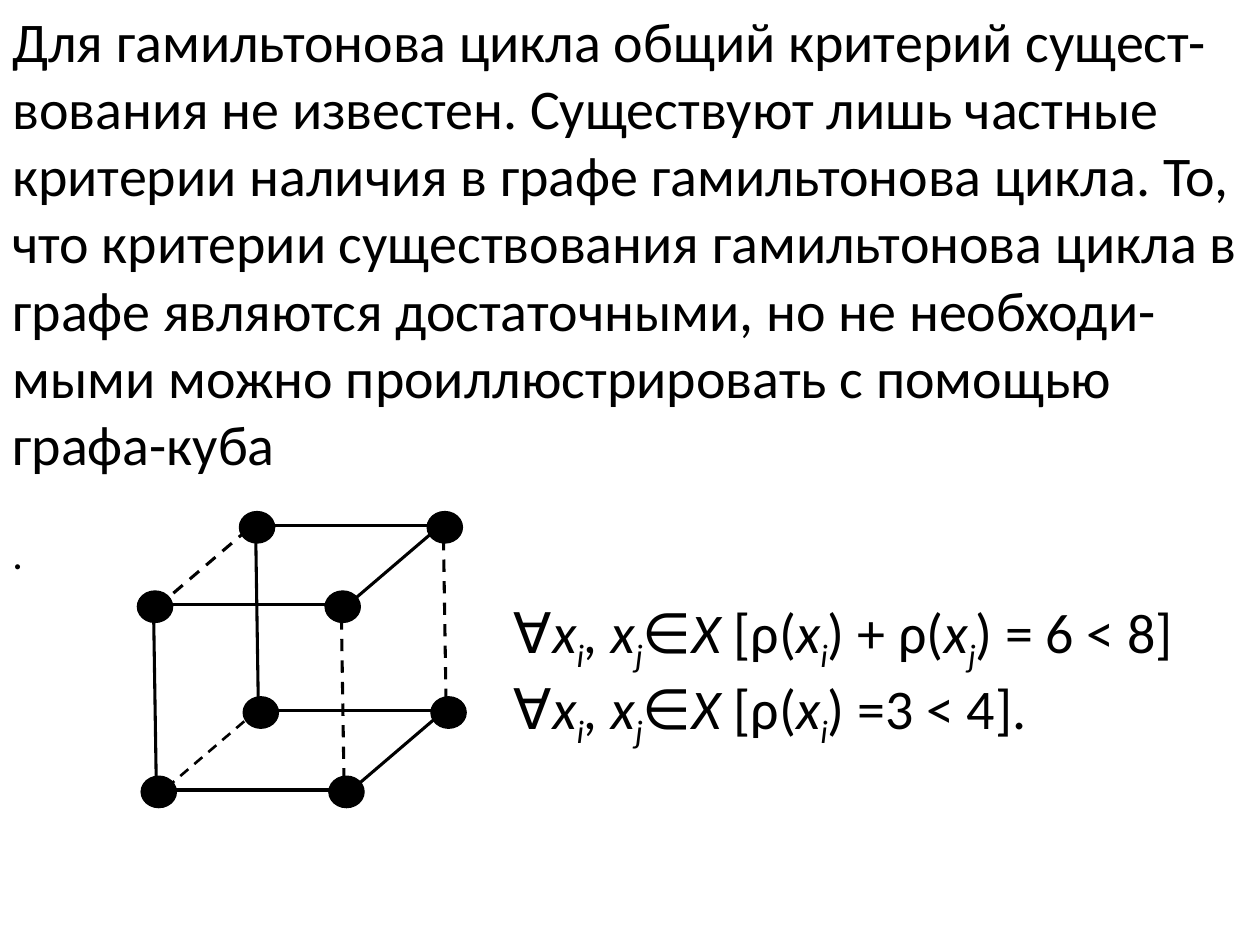
from pptx import Presentation
from pptx.dml.color import RGBColor
from pptx.enum.dml import MSO_LINE_DASH_STYLE as DASH
from pptx.enum.shapes import MSO_CONNECTOR, MSO_SHAPE
from pptx.enum.text import MSO_AUTO_SIZE
from pptx.util import Inches, Pt
from lxml import etree

BLACK = "000000"
A_NS = "{http://schemas.openxmlformats.org/drawingml/2006/main}"

# Text: each run is (text, style); i = italic, s = italic subscript
INTRO = ("Для гамильтонова цикла общий критерий сущест-вования не известен. "
         "Существуют лишь частные критерии наличия в графе гамильтонова цикла. "
         "То, что критерии существования гамильтонова цикла в графе являются "
         "достаточными, но не необходи-мыми можно проиллюстрировать с помощью "
         "графа-куба")
FOR_ALL = [("∀", ""), ("x", "i"), ("i", "s"), (", x", "i"), ("j", "s"),
           ("∈", ""), ("X ", "i"), ("[ρ(", ""), ("x", "i"), ("i", "s")]
FORMULAS = [
    FOR_ALL + [(") + ρ(", ""), ("x", "i"), ("j", "s"), (") = 6 < 8]", "")],
    FOR_ALL + [(") =3 < 4].", "")],
]
TEXTS = [  # left, top, width, height, size, paragraphs
    (0, 0, 10, 3.87, 32, [[(INTRO, "")]]),
    (3.98, 4.69, 5.55, 1.18, 32, FORMULAS),
    (0, 4.14, 10, 0.5, 24, [[(".", "")]]),
]

# Cube: corner of the first vertex of each face, and steps between vertices
FRONT, BACK = (1.09, 4.69), (1.9, 4.06)
STEP_X, STEP_Y, SKEW = 1.49, 1.47, 0.03
DOT_W, DOT_H = 0.28, 0.25
DEPTH_EDGES = [  # column, row, start offset from the back vertex, width, dashed
    (0, 0, 0.07, 0.14, 1.75, True),
    (1, 0, 0.12, 0.1, 1.75, False),
    (1, 1, 0.06, 0.15, 1.75, False),
    (0, 1, 0.12, 0.1, 1.5, True),
]


def rgb(color):
    return RGBColor.from_string(color)


def vertex(face, col, row):
    return face[0] + col * STEP_X + row * SKEW, face[1] + row * STEP_Y


def add_dot(shapes, x, y):
    sp = shapes.add_shape(MSO_SHAPE.OVAL, Inches(x), Inches(y),
                          Inches(DOT_W), Inches(DOT_H))
    sp.shadow.inherit = False
    sp.fill.solid()
    sp.fill.fore_color.rgb = rgb(BLACK)
    sp.line.color.rgb = rgb(BLACK)
    sp.line.width = Pt(0.75)


def add_edge(shapes, x, y, dx, dy, width=1.75, dashed=False):
    ln = shapes.add_connector(MSO_CONNECTOR.STRAIGHT, Inches(x), Inches(y),
                              Inches(x + dx), Inches(y + dy))
    ln.line.color.rgb = rgb(BLACK)
    ln.line.width = Pt(width)
    if dashed:
        ln.line.dash_style = DASH.DASH
    etree.SubElement(ln._element.spPr, A_NS + "effectLst")


def add_text(shapes, left, top, width, height, size, paragraphs):
    box = shapes.add_textbox(Inches(left), Inches(top), Inches(width), Inches(height))
    tf = box.text_frame
    tf.word_wrap = True
    tf.auto_size = MSO_AUTO_SIZE.SHAPE_TO_FIT_TEXT
    for n, runs in enumerate(paragraphs):
        p = tf.add_paragraph() if n else tf.paragraphs[0]
        for text, style in runs:
            r = p.add_run()
            r.text = text
            r.font.name = "Calibri"
            r.font.size = Pt(size)
            r.font.color.rgb = rgb(BLACK)
            r.font.italic = bool(style)
            if style == "s":
                r.font._element.set("baseline", "-25000")


def add_cube(shapes):
    for face in (FRONT, BACK):
        # Vertices
        for col in (0, 1):
            for row in (0, 1):
                add_dot(shapes, *vertex(face, col, row))
        # Vertical edges: the right one is dashed
        for col in (0, 1):
            x, y = vertex(face, col, 0)
            add_edge(shapes, x + 0.13, y + 0.21, 0.02, 1.29, dashed=col == 1)
        # Horizontal edges
        for row in (0, 1):
            x, y = vertex(face, 0, row)
            add_edge(shapes, x + 0.15, y + 0.11, 1.45, 0)
    # Edges joining the back face to the front one
    for col, row, dx, dy, width, dashed in DEPTH_EDGES:
        x, y = vertex(BACK, col, row)
        add_edge(shapes, x + dx, y + dy, -0.69, 0.59, width, dashed)


def main():
    prs = Presentation()
    prs.slide_width, prs.slide_height = Inches(10), Inches(7.5)
    s = prs.slides.add_slide(prs.slide_layouts[6])
    add_cube(s.shapes.add_group_shape().shapes)
    for text in TEXTS:
        add_text(s.shapes, *text)
    prs.save("out.pptx")


if __name__ == "__main__":
    main()
